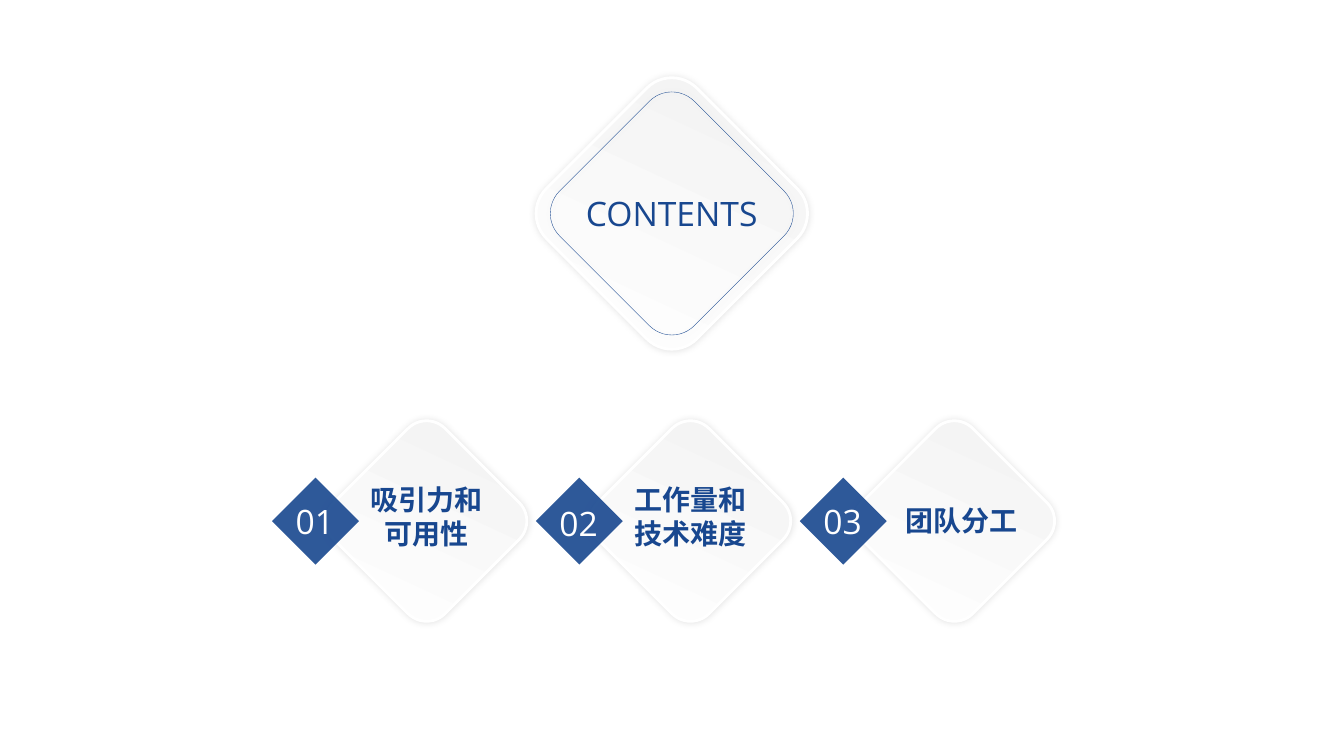
"""Build a contents slide with one large diamond and three numbered diamonds."""
from lxml.etree import SubElement
from pptx import Presentation
from pptx.dml.color import RGBColor
from pptx.enum.shapes import MSO_SHAPE
from pptx.enum.text import MSO_AUTO_SIZE, PP_ALIGN
from pptx.oxml.ns import qn
from pptx.util import Cm, Pt

HEADING = "CONTENTS"
ITEMS = [
    {"number": "01", "title": "吸引力和可用性", "height": 1.96, "shift": (0, -0.11), "drop": 0},
    {"number": "02", "title": "工作量和技术难度", "height": 1.96, "shift": (0, -0.11), "drop": 0.05},
    {"number": "03", "title": "团队分工", "height": 1.12, "shift": (0.18, 0), "drop": 0},
]

NAVY = RGBColor(0x18, 0x47, 0x8F)
WHITE = RGBColor(0xFF, 0xFF, 0xFF)
PALE = RGBColor(0xF2, 0xF2, 0xF2)
FONT = "Open Sans"

HEADING_X, HEADING_Y = 16.93, 5.38
FIRST_X, ITEM_Y, ITEM_STEP = 10.75, 13.13, 6.65
NUMBER_OFFSET = 2.8


def add_diamond(page, kind, x, y, side, rotation=45):
    box = page.shapes.add_shape(
        kind, Cm(x - side / 2), Cm(y - side / 2), Cm(side), Cm(side))
    box.rotation = rotation
    box.shadow.inherit = False
    return box


def add_soft_shadow(box):
    effects = box._element.spPr.find(qn("a:effectLst"))
    shadow = SubElement(effects, qn("a:outerShdw"), blurRad=str(Pt(5)),
                        dist="0", dir="0", algn="ctr", rotWithShape="0")
    color = SubElement(shadow, qn("a:srgbClr"), val="000000")
    SubElement(color, qn("a:alpha"), val="11000")


def add_card(page, x, y, side):
    card = add_diamond(page, MSO_SHAPE.ROUNDED_RECTANGLE, x, y, side)
    card.fill.gradient()
    card.fill.gradient_angle = 110
    for stop, color, position in zip(card.fill.gradient_stops, (WHITE, PALE), (0, 1)):
        stop.color.rgb = color
        stop.position = position
    card.line.color.rgb = WHITE
    card.line.width = Pt(2)
    add_soft_shadow(card)


def add_ring(page, x, y, side):
    ring = add_diamond(page, MSO_SHAPE.ROUNDED_RECTANGLE, x, y, side)
    ring.fill.background()
    ring.line.color.rgb = NAVY
    ring.line.width = Pt(0.25)
    add_soft_shadow(ring)


def add_badge(page, x, y, side):
    badge = add_diamond(page, MSO_SHAPE.RECTANGLE, x, y, side, rotation=225)
    badge.fill.solid()
    badge.fill.fore_color.rgb = NAVY
    badge.line.fill.background()
    color = badge._element.spPr.find(qn("a:solidFill")).find(qn("a:srgbClr"))
    SubElement(color, qn("a:alpha"), val="90000")


def add_text(page, text, x, y, width, height, size=24, color=NAVY,
             bold=False, align=PP_ALIGN.CENTER, wrap=True):
    box = page.shapes.add_textbox(
        Cm(x - width / 2), Cm(y - height / 2), Cm(width), Cm(height))
    frame = box.text_frame
    frame.word_wrap = wrap
    frame.auto_size = MSO_AUTO_SIZE.SHAPE_TO_FIT_TEXT
    para = frame.paragraphs[0]
    para.alignment = align
    span = para.add_run()
    span.text = text
    span.font.name = FONT
    span.font.size = Pt(size)
    span.font.bold = bold
    span.font.color.rgb = color


def main():
    deck = Presentation()
    deck.slide_width, deck.slide_height = Cm(33.87), Cm(19.05)
    page = deck.slides.add_slide(deck.slide_layouts[6])

    add_card(page, HEADING_X, HEADING_Y, 5.36)
    add_ring(page, HEADING_X, HEADING_Y, 4.8)
    add_text(page, HEADING, HEADING_X, HEADING_Y, 6.38, 1.27)

    for index, item in enumerate(ITEMS):
        x = FIRST_X + index * ITEM_STEP
        number_x = x - NUMBER_OFFSET
        shift_x, shift_y = item["shift"]
        add_card(page, x, ITEM_Y, 3.96)
        add_badge(page, number_x, ITEM_Y, 1.55)
        add_text(page, item["title"], x + shift_x, ITEM_Y + shift_y,
                 3.76, item["height"], size=20, bold=True)
        add_text(page, item["number"], number_x, ITEM_Y + item["drop"],
                 1.5, 1.27, color=WHITE, align=PP_ALIGN.LEFT, wrap=False)

    deck.save("out.pptx")


if __name__ == "__main__":
    main()
